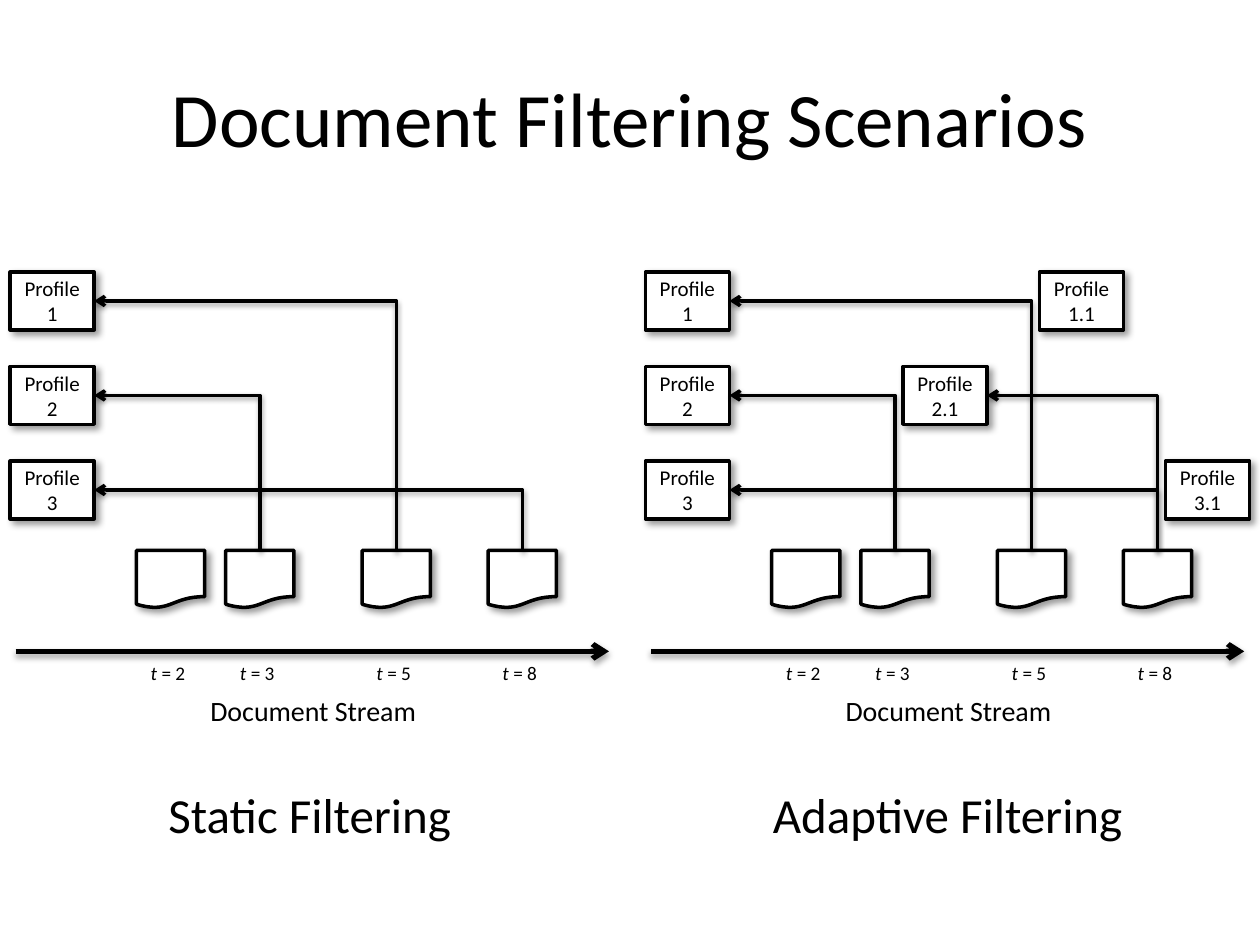
import pptx
import pptx.util
import pptx.oxml
import pptx.oxml.ns
import pptx.dml.color
import pptx.enum.shapes
import pptx.enum.text
from dataclasses import dataclass

Pt = pptx.util.Pt
Kind = pptx.enum.shapes.MSO_SHAPE
Link = pptx.enum.shapes.MSO_CONNECTOR
TOP, RIGHT = 0, 3


@dataclass(frozen=True)
class Theme:
    font: str = "Calibri"
    ink: str = "000000"
    paper: str = "FFFFFF"
    title: int = 44
    head: int = 28
    stream: int = 16
    box: int = 12
    time: int = 11
    thin: int = 2
    thick: int = 3
    # Shadows: opacity %, blur pt, distance pt, angle in degrees
    drop: tuple = (40, 4, 3, 45)
    soft: tuple = (38, 3.1, 1.6, 90)
    faint: tuple = (35, 3.1, 1.8, 90)


class Deck:
    def __init__(self, theme):
        self.theme = theme
        self.show = pptx.Presentation()
        self.show.slide_width, self.show.slide_height = Pt(720), Pt(540)
        self.slide = self.show.slides.add_slide(self.show.slide_layouts[5])
        self.shapes = self.slide.shapes

    def tint(self, color):
        return pptx.dml.color.RGBColor.from_string(color)

    def group(self):
        self.shapes = self.slide.shapes.add_group_shape().shapes

    def ungroup(self):
        self.shapes = self.slide.shapes

    def letter(self, frame, text, size):
        frame.text = text
        frame.word_wrap = True
        for para in frame.paragraphs:
            para.alignment = pptx.enum.text.PP_ALIGN.CENTER
            for run in para.runs:
                self.style(run, size)

    def style(self, run, size):
        run.font.name = self.theme.font
        run.font.size = Pt(size)
        run.font.color.rgb = self.tint(self.theme.ink)

    def stroke(self, shape, width, shade, arrow=False):
        """Set the outline, an optional arrowhead and the shadow."""
        shape.line.color.rgb = self.tint(self.theme.ink)
        shape.line.width = Pt(width)
        props = shape._element.spPr
        if arrow:
            tail = pptx.oxml.parse_xml(
                f'<a:tailEnd {pptx.oxml.ns.nsdecls("a")} type="arrow"/>')
            props.find(pptx.oxml.ns.qn("a:ln")).append(tail)
        alpha, blur, dist, angle = shade
        props.append(pptx.oxml.parse_xml(
            f'<a:effectLst {pptx.oxml.ns.nsdecls("a")}>'
            f'<a:outerShdw blurRad="{Pt(blur)}" dist="{Pt(dist)}" '
            f'dir="{angle * 60000}" algn="tl" rotWithShape="0">'
            f'<a:srgbClr val="{self.theme.ink}"><a:alpha val="{alpha * 1000}"/>'
            '</a:srgbClr></a:outerShdw></a:effectLst>'))

    def title(self, text, *rect):
        shape = self.slide.shapes.title
        shape.left, shape.top, shape.width, shape.height = map(Pt, rect)
        self.letter(shape.text_frame, text, self.theme.title)
        shape.text_frame.vertical_anchor = pptx.enum.text.MSO_ANCHOR.MIDDLE

    def label(self, text, size, *rect):
        frame = self.shapes.add_textbox(*map(Pt, rect)).text_frame
        self.letter(frame, text, size)
        frame.auto_size = pptx.enum.text.MSO_AUTO_SIZE.SHAPE_TO_FIT_TEXT
        return frame.paragraphs[0]

    def time(self, step, *rect):
        para = self.label("t ", self.theme.time, *rect)
        para.runs[0].font.italic = True
        run = para.add_run()
        run.text = f"= {step}"
        self.style(run, self.theme.time)
        run.font.italic = False

    def box(self, kind, text, *rect):
        shape = self.shapes.add_shape(kind, *map(Pt, rect))
        shape.fill.solid()
        shape.fill.fore_color.rgb = self.tint(self.theme.paper)
        self.stroke(shape, self.theme.thin, self.theme.drop)
        if text:
            self.letter(shape.text_frame, text, self.theme.box)
            shape.text_frame.vertical_anchor = pptx.enum.text.MSO_ANCHOR.MIDDLE
        return shape

    def arrow(self, left, right, y):
        line = self.shapes.add_connector(
            Link.STRAIGHT, Pt(left), Pt(y), Pt(right), Pt(y))
        self.stroke(line, self.theme.thick, self.theme.faint, True)

    def bend(self, page, box):
        """Run up from the top of a page, then left into a box."""
        line = self.shapes.add_connector(Link.ELBOW, 0, 0, 0, 0)
        line.begin_connect(page, TOP)
        line.end_connect(box, RIGHT)
        x1, y1 = page.left + page.width // 2, page.top
        x2, y2 = box.left + box.width, box.top + box.height // 2
        # One-corner elbow, turned a quarter left and flipped
        wide, high = y1 - y2, x1 - x2
        props = line._element.spPr
        props.prstGeom.set("prst", "bentConnector2")
        form = props.xfrm
        form.attrib.clear()
        form.set("rot", "16200000")
        form.set("flipV", "1")
        line.left, line.top = (x1 + x2 - wide) // 2, (y1 + y2 - high) // 2
        line.width, line.height = wide, high
        self.stroke(line, self.theme.thin, self.theme.soft, True)


PAGES = {2: 78, 3: 129, 5: 207, 8: 279}  # time step: left edge
ROWS = {1: 155.5, 2: 209.5, 3: 263.5}    # profile: top edge
HITS = {1: 5, 2: 3, 3: 8}                # profile: matching time step
BOX_W, BOX_H, PAGE_W = 48, 33, 39


def panel(deck, x, name, head, adapt):
    deck.group()
    # Document stream with its time axis
    deck.label("Document Stream", deck.theme.stream, x + 99.5, 393, 159, 26.6)
    pages = {step: deck.box(Kind.FLOWCHART_DOCUMENT, "", x + left, 314.5, PAGE_W, BOX_H)
             for step, left in PAGES.items()}
    for step, left in PAGES.items():
        deck.time(step, x + left - 3, 374.5, 42, 20.6)
    deck.arrow(x + 9, x + 348, 372.2)

    # Profiles and the documents that match them
    boxes = {num: deck.box(Kind.RECTANGLE, f"Profile\v{num}", x + 5.8, top, BOX_W, BOX_H)
             for num, top in ROWS.items()}
    for num, step in HITS.items():
        deck.bend(pages[step], boxes[num])

    # Updated profiles, just right of each match
    if adapt:
        news = {num: deck.box(Kind.RECTANGLE, f"Profile {num}.1",
                              x + PAGES[step] + PAGE_W / 2 + 4.5, ROWS[num], BOX_W, BOX_H)
                for num, step in HITS.items()}
        deck.bend(pages[8], news[2])
    deck.ungroup()
    deck.label(name, deck.theme.head, head, 445, 216, 41)


def main():
    deck = Deck(Theme())
    deck.title("Document Filtering Scenarios", 36, 21.6, 648, 90)
    panel(deck, 0, "Static Filtering", 69, False)
    panel(deck, 363, "Adaptive Filtering", 433.5, True)
    deck.show.save("out.pptx")


if __name__ == "__main__":
    main()
